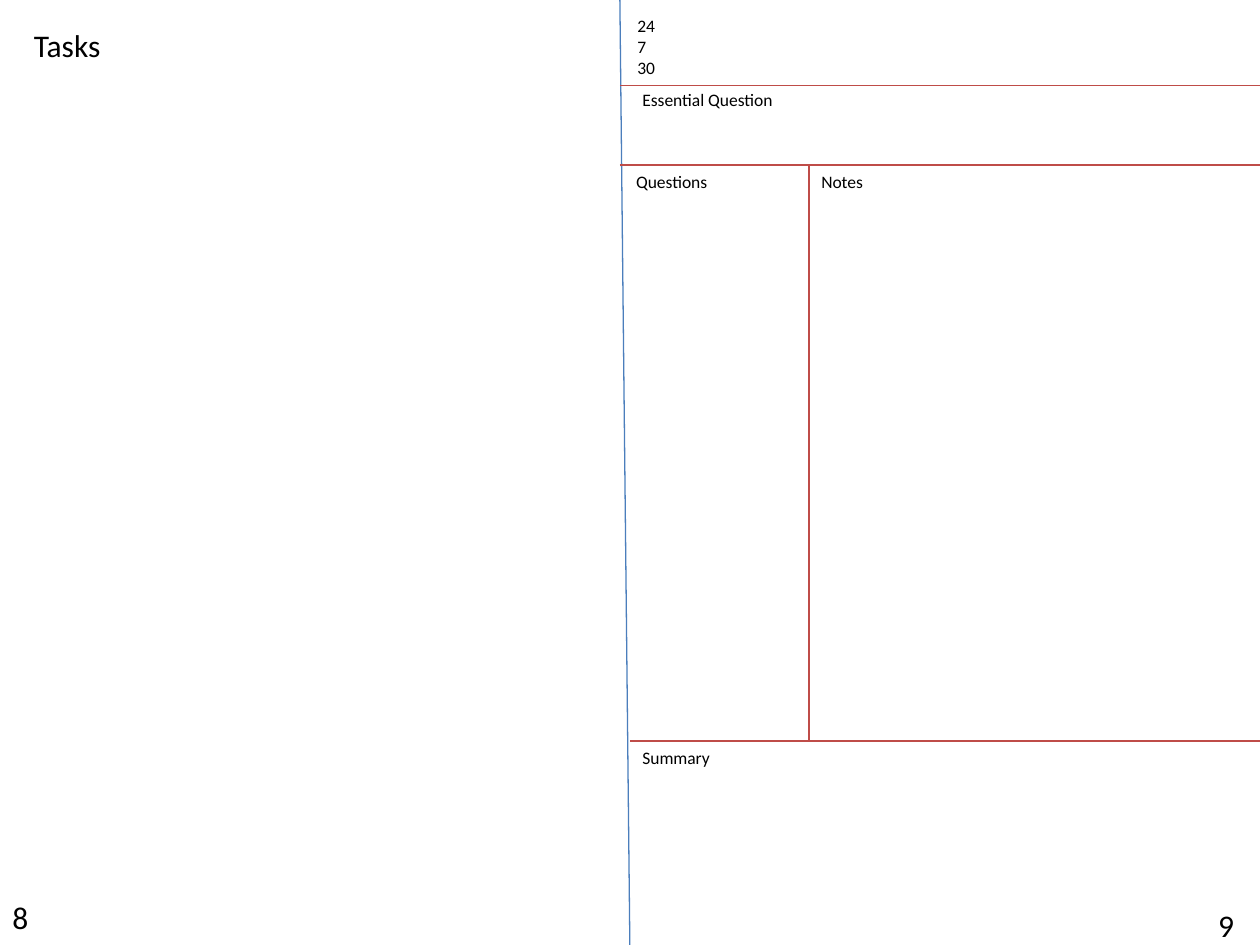
from pptx import Presentation
from pptx.dml.color import RGBColor
from pptx.enum.shapes import MSO_CONNECTOR as Connector
from pptx.enum.text import MSO_AUTO_SIZE as AutoSize
from pptx.oxml.ns import qn
from pptx.util import Inches, Pt
from lxml import etree

BLACK = RGBColor(0x00, 0x00, 0x00)
BLUE = RGBColor(0x4B, 0x7E, 0xBC)
RED = RGBColor(0xBF, 0x4C, 0x48)

# Edges of the note page, in inches
FOLD = 4.92
RIGHT = 10
HEADER_BOTTOM = 0.68
NOTES_TOP = 1.31
NOTES_LEFT = 6.42
SUMMARY_TOP = 5.88


def add_rule(page, start, end, color):
    rule = page.shapes.add_connector(
        Connector.STRAIGHT, *(Inches(value) for value in start + end))
    rule.line.color.rgb = color
    rule.line.width = Pt(0.75)
    properties = rule._element.find(qn("p:spPr"))
    etree.SubElement(properties, qn("a:effectLst"))


def add_label(page, text, left, top, width, height=0.27, size=10, wrap=False):
    box = page.shapes.add_textbox(
        Inches(left), Inches(top), Inches(width), Inches(height))
    frame = box.text_frame
    frame.text = text
    frame.word_wrap = wrap
    frame.auto_size = AutoSize.SHAPE_TO_FIT_TEXT
    for para in frame.paragraphs:
        for span in para.runs:
            span.font.name = "Calibri"
            span.font.size = Pt(size)
            span.font.color.rgb = BLACK


def main():
    deck = Presentation()
    deck.slide_width = Inches(10)
    deck.slide_height = Inches(7.5)
    page = deck.slides.add_slide(deck.slide_layouts[6])

    # Fold between the two pages
    add_rule(page, (FOLD, 0), (5, 7.61), BLUE)

    # Page numbers
    add_label(page, "8", 0, 7.08, 0.33, 0.4, size=18)
    add_label(page, "9", 9.57, 7.14, 0.6, 0.4, size=18, wrap=True)

    # Dividers of the note page
    for top in (HEADER_BOTTOM, NOTES_TOP):
        add_rule(page, (FOLD, top), (RIGHT, top), RED)
    add_rule(page, (5, SUMMARY_TOP), (10.17, SUMMARY_TOP), RED)
    add_rule(page, (NOTES_LEFT, NOTES_TOP), (NOTES_LEFT, SUMMARY_TOP), RED)

    # Headings of the note page
    add_label(page, "24\n7\n30", 4.96, 0.07, 0.47, 0.61, wrap=True)
    add_label(page, "Essential Question", 5, 0.66, 1.25)
    add_label(page, "Notes", NOTES_LEFT, NOTES_TOP, 0.54)
    add_label(page, "Questions", 4.95, NOTES_TOP, 0.78)
    add_label(page, "Summary", 5, SUMMARY_TOP, 0.74)

    # Heading of the task page
    add_label(page, "Tasks", 0.17, 0.16, 0.73, 0.4, size=18)

    deck.save("out.pptx")


if __name__ == "__main__":
    main()
